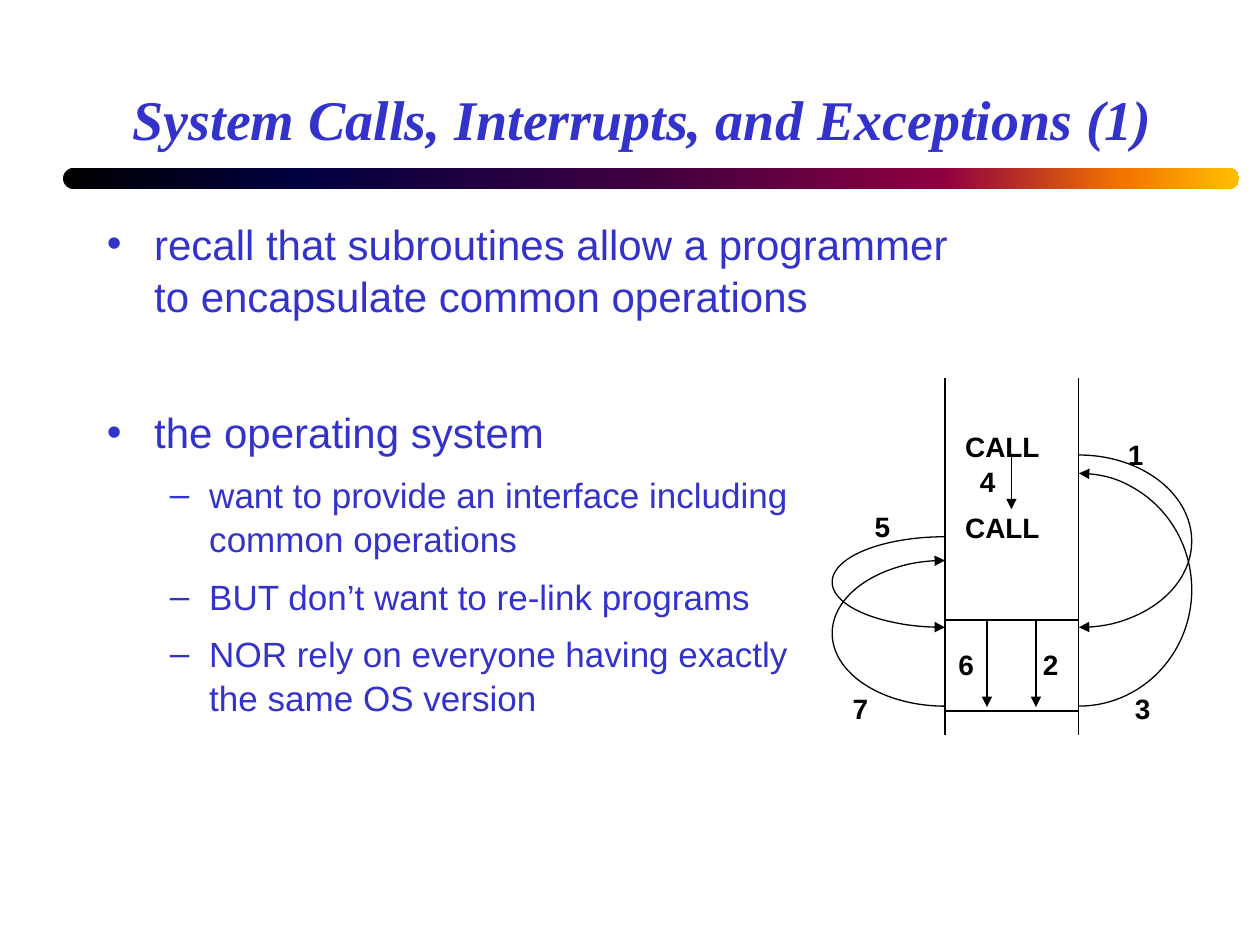
from dataclasses import dataclass

from lxml import etree
from pptx import Presentation
from pptx.dml.color import RGBColor
from pptx.enum.shapes import MSO_CONNECTOR, MSO_SHAPE
from pptx.enum.text import MSO_ANCHOR, MSO_AUTO_SIZE, PP_ALIGN
from pptx.oxml.ns import qn
from pptx.util import Pt

STRAIGHT = MSO_CONNECTOR.STRAIGHT
ROUNDED = MSO_SHAPE.ROUNDED_RECTANGLE
LEFT, RIGHT = PP_ALIGN.LEFT, PP_ALIGN.RIGHT
TOP, BOTTOM = MSO_ANCHOR.TOP, MSO_ANCHOR.BOTTOM
QUARTER = 90 * 60000  # quarter turn in DrawingML angle units


@dataclass(frozen=True)
class Theme:
    blue: str = "3333CC"
    black: str = "000000"
    bar: tuple = ((0, "000000"), (20, "000040"), (50, "400040"),
                  (75, "8F0040"), (90, "F27300"), (100, "FFBF00"))
    heading_font: str = "Times New Roman"
    body_font: str = "Arial"
    title: float = 32
    bullet: float = 24
    dash: float = 20
    label: float = 16
    line: float = 0.75


class SlideBuilder:
    def __init__(self, deck, theme):
        self.theme = theme
        self.page = deck.slides.add_slide(deck.slide_layouts[6])

    def frame(self, left, top, width, height, insets=(7.2, 3.6), anchor=TOP):
        box = self.page.shapes.add_textbox(Pt(left), Pt(top), Pt(width), Pt(height))
        frame = box.text_frame
        frame.word_wrap = True
        frame.vertical_anchor = anchor
        frame.margin_left = frame.margin_right = Pt(insets[0])
        frame.margin_top = frame.margin_bottom = Pt(insets[1])
        return frame

    def span(self, para, text, size, color, font, bold=False, italic=False):
        for number, part in enumerate(text.split("\n")):
            if number:
                para.add_line_break()
            span = para.add_run()
            span.text = part
            span.font.size = Pt(size)
            span.font.name = font
            span.font.bold, span.font.italic = bold, italic
            span.font.color.rgb = RGBColor.from_string(color)

    def title(self, text, left, top, width, height):
        para = self.frame(left, top, width, height, anchor=BOTTOM).paragraphs[0]
        para.alignment = RIGHT
        style = self.theme
        self.span(para, text, style.title, style.blue, style.heading_font, True, True)

    def bullets(self, items, left, top, width, height):
        frame = self.frame(left, top, width, height)
        for number, (level, text, before) in enumerate(items):
            para = frame.add_paragraph() if number else frame.paragraphs[0]
            size, margin, hang, mark = (
                (self.theme.dash, 58.5, 22.5, "\u2013") if level
                else (self.theme.bullet, 27, 27, "\u2022"))
            para.level = level
            para.alignment = LEFT
            para.line_spacing = 1.04
            para.space_before = Pt(before or size * 0.2)
            para.space_after = Pt(size * 0.2)
            props = para._p.get_or_add_pPr()
            props.set("marL", str(Pt(margin)))
            props.set("indent", str(-Pt(hang)))
            color = etree.SubElement(props, qn("a:buClr"))
            etree.SubElement(color, qn("a:srgbClr"), val=self.theme.blue)
            etree.SubElement(props, qn("a:buFont"), typeface=self.theme.body_font)
            etree.SubElement(props, qn("a:buChar"), char=mark)
            self.span(para, text, size, self.theme.blue, self.theme.body_font)

    def label(self, text, left, top, width=9):
        frame = self.frame(left, top, width, 19.4, insets=(0, 0))
        frame.word_wrap = False
        frame.auto_size = MSO_AUTO_SIZE.SHAPE_TO_FIT_TEXT
        style = self.theme
        self.span(frame.paragraphs[0], text, style.label, style.black, style.body_font, True)

    def gradient_bar(self, left, top, width, height):
        bar = self.page.shapes.add_shape(ROUNDED, Pt(left), Pt(top), Pt(width), Pt(height))
        bar.adjustments[0] = 0.5
        bar.shadow.inherit = False
        bar.line.fill.background()
        bar.fill.gradient()
        bar.fill.gradient_angle = 0
        stops = bar._element.spPr.find(".//" + qn("a:gsLst"))
        for stop in list(stops):
            stops.remove(stop)
        for percent, color in self.theme.bar:
            stop = etree.SubElement(stops, qn("a:gs"), pos=str(percent * 1000))
            etree.SubElement(stop, qn("a:srgbClr"), val=color)

    def stroke(self, shape, arrow):
        shape.line.color.rgb = RGBColor.from_string(self.theme.black)
        shape.line.width = Pt(self.theme.line)
        if arrow:
            etree.SubElement(shape.line._get_or_add_ln(), qn("a:tailEnd"), type="triangle")

    def line(self, x1, y1, x2, y2, arrow=False):
        line = self.page.shapes.add_connector(STRAIGHT, Pt(x1), Pt(y1), Pt(x2), Pt(y2))
        self.stroke(line, arrow)
        etree.SubElement(line._element.spPr, qn("a:effectLst"))

    def loop(self, x, start, end, reach):
        """Half ellipse from start to end; the sign of reach picks the side."""
        builder = self.page.shapes.build_freeform(Pt(x), Pt(start))
        builder.add_line_segments(
            [(Pt(x + reach), Pt((start + end) / 2)), (Pt(x), Pt(end))], close=False)
        loop = builder.convert_to_shape()
        loop.shadow.inherit = False
        loop.fill.background()
        self.stroke(loop, True)
        # Turn the two straight segments into quarter arcs
        turn = 1 if (end > start) == (reach > 0) else -1
        angle = 3 * QUARTER if end > start else QUARTER
        for segment in list(loop._element.spPr.iter(qn("a:lnTo"))):
            arc = etree.Element(
                qn("a:arcTo"), wR=str(Pt(abs(reach))), hR=str(Pt(abs(end - start) / 2)),
                stAng=str(angle % (4 * QUARTER)), swAng=str(turn * QUARTER))
            segment.getparent().replace(segment, arc)
            angle += turn * QUARTER


deck = Presentation()
deck.slide_width, deck.slide_height = Pt(720), Pt(540)
slide = SlideBuilder(deck, Theme())

# Heading and text
slide.gradient_bar(36, 96, 672, 12)
slide.bullets([
    (0, "recall that subroutines allow a programmer\nto encapsulate common operations", None),
    (0, "the operating system", 43),
    (1, "want to provide an interface including\ncommon operations", None),
    (1, "BUT don\u2019t want to re-link programs", None),
    (1, "NOR rely on everyone having exactly\nthe same OS version", None),
], 54, 120, 612, 360)
slide.title("System Calls, Interrupts, and Exceptions (1)", 54, 18, 612, 72)

# Memory column
column_left, column_right = 540, 616.5
routine_top, routine_bottom = 354.25, 406.25
for x in (column_left, column_right):
    slide.line(x, 216, x, 420)
for y in (routine_top, routine_bottom):
    slide.line(column_left, y, column_right, y)
for y in (245.5, 291.75):
    slide.label("CALL", 551.5, y, 43)

# Steps inside the column
for text, x, start, end, label_x, label_y in (
        ("2", 592, routine_top, 404, 596, 370),
        ("6", 564, routine_top, 404, 547.75, 370),
        ("4", 578, 261, 291, 560, 265.75)):
    slide.line(x, start, x, end, arrow=True)
    slide.label(text, label_x, label_y)

# Calls and returns outside the column
for text, x, start, end, reach, label_x, label_y in (
        ("1", column_right, 260, 358.5, 64.5, 644.5, 250),
        ("3", column_right, 403.5, 270.5, 64.5, 648.5, 395.25),
        ("5", column_left, 306.75, 358.5, -64.5, 499.75, 291),
        ("7", column_left, 403.5, 320.25, -64.5, 487.25, 395.25)):
    slide.loop(x, start, end, reach)
    slide.label(text, label_x, label_y)

deck.save("out.pptx")
